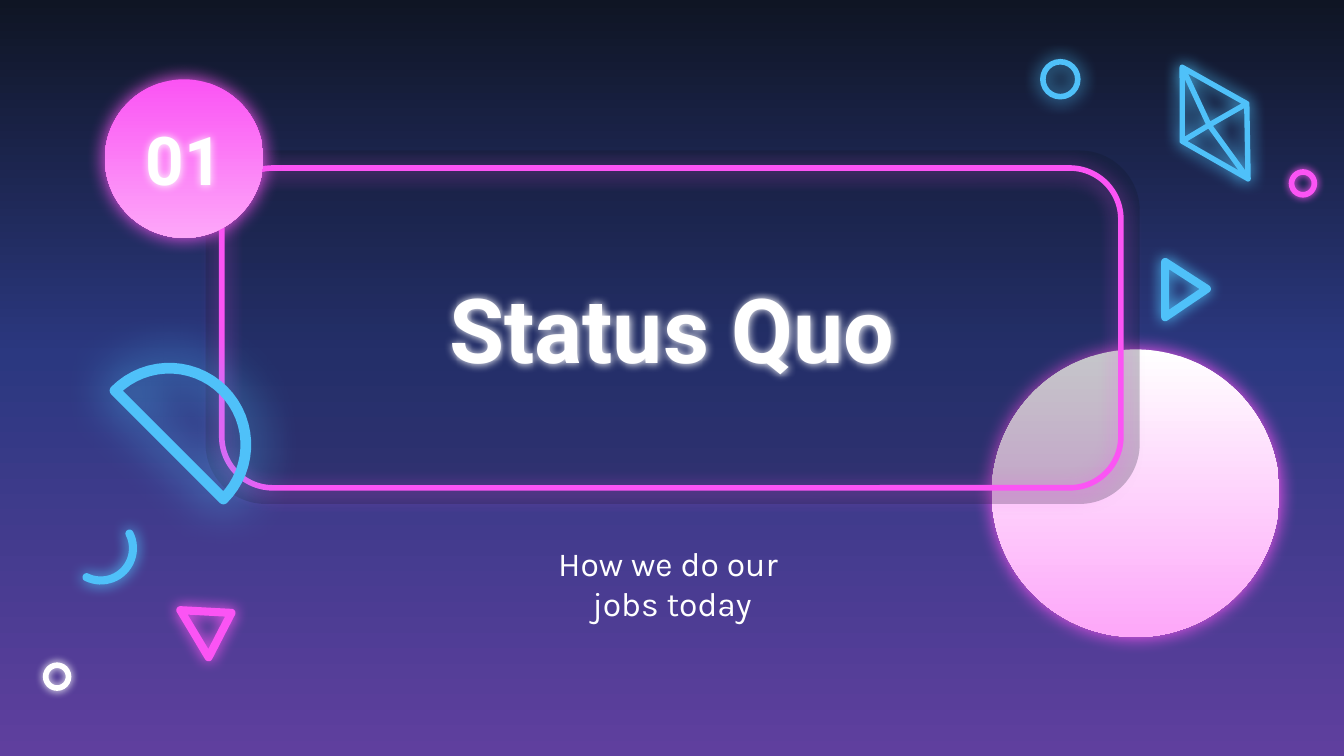
from copy import deepcopy
from dataclasses import dataclass
from math import atan2, ceil, cos, hypot, pi, radians, sin

from lxml.etree import SubElement
from pptx import Presentation
from pptx.dml.color import RGBColor
from pptx.enum.shapes import MSO_SHAPE
from pptx.enum.text import MSO_ANCHOR, PP_ALIGN
from pptx.oxml.ns import qn
from pptx.util import Inches, Pt

Point = tuple[float, float]
Box = tuple[float, float, float, float]


@dataclass(frozen=True)
class Theme:
    night: str = "0F1524"
    indigo: str = "2B3880"
    violet: str = "5F3F9E"
    pink: str = "FB54F4"
    blush: str = "FDA7F9"
    blue: str = "4FC1F9"
    white: str = "FFFFFF"
    heading_font: str = "Roboto"
    body_font: str = "Karla"
    title_size: int = 48
    number_size: int = 36
    body_size: int = 18
    stroke: int = 3


@dataclass(frozen=True)
class Glow:
    color: str
    blur: float
    alpha: int = 100
    dist: float = 0


@dataclass(frozen=True)
class Label:
    box: Box
    lines: tuple[str, ...]
    size: int
    font: str
    bold: bool = False
    anchor: MSO_ANCHOR = MSO_ANCHOR.TOP
    glow: Glow | None = None


@dataclass(frozen=True)
class Ring:
    box: Box
    color: str
    blur: float


@dataclass(frozen=True)
class Glyph:
    contours: list[list[Point]]
    color: str
    blur: float
    rotation: float = 0
    pivot: Point = (0, 0)


T = Theme()


def rgb(color: str) -> RGBColor:
    return RGBColor.from_string(color)


def set_gradient(fill, owner, *stops: tuple[float, str]) -> None:
    fill.gradient()
    fill.gradient_angle = 270
    gs_lst = owner.find(".//" + qn("a:gsLst"))
    for _ in stops[2:]:
        gs_lst.append(deepcopy(gs_lst[0]))
    for stop, (position, color) in zip(fill.gradient_stops, stops):
        stop.position = position
        stop.color.rgb = rgb(color)


def set_glow(sp, glow: Glow | None) -> None:
    sp.shadow.inherit = False
    if glow is None:
        return
    effects = sp._element.spPr.find(qn("a:effectLst"))
    shadow = SubElement(effects, qn("a:outerShdw"), blurRad=str(Pt(glow.blur)),
                        dist=str(Pt(glow.dist)), dir="5400000",
                        algn="bl", rotWithShape="0")
    clr = SubElement(shadow, qn("a:srgbClr"), val=glow.color)
    SubElement(clr, qn("a:alpha"), val=str(glow.alpha * 1000))


def add_preset(shapes, kind: MSO_SHAPE, box: Box, glow: Glow | None = None,
               line: str | None = None):
    sp = shapes.add_shape(kind, *map(Inches, box))
    sp.fill.background()
    if line:
        sp.line.color.rgb = rgb(line)
        sp.line.width = Pt(T.stroke)
    else:
        sp.line.fill.background()
    set_glow(sp, glow)
    return sp


def add_orb(shapes, box: Box, top: str) -> None:
    sp = add_preset(shapes, MSO_SHAPE.OVAL, box, Glow(T.pink, 10.1))
    set_gradient(sp.fill, sp._element, (0, top), (1, T.blush))


def add_frame(shapes) -> None:
    group = shapes.add_group_shape().shapes
    panel = add_preset(group, MSO_SHAPE.ROUNDED_RECTANGLE, (1.53, 1.12, 6.95, 2.63))
    panel.adjustments[0] = 0.17
    panel.fill.solid()
    panel.fill.fore_color.rgb = rgb(T.night)
    clr = panel._element.spPr.find(qn("a:solidFill"))[0]
    SubElement(clr, qn("a:alpha"), val="24000")
    border = add_preset(group, MSO_SHAPE.ROUNDED_RECTANGLE, (1.65, 1.25, 6.69, 2.38),
                        Glow(T.pink, 11.2, 62, 1.5), T.pink)
    border.adjustments[0] = 0.16


def add_label(shapes, label: Label) -> None:
    sp = shapes.add_textbox(*map(Inches, label.box))
    set_glow(sp, label.glow)
    tf = sp.text_frame
    tf.word_wrap = True
    tf.vertical_anchor = label.anchor
    tf.margin_left = tf.margin_right = tf.margin_top = tf.margin_bottom = Inches(0.1)
    for i, line in enumerate(label.lines):
        p = tf.add_paragraph() if i else tf.paragraphs[0]
        p.alignment = PP_ALIGN.CENTER
        r = p.add_run()
        r.text = line
        r.font.name = label.font
        r.font.size = Pt(label.size)
        r.font.bold = label.bold
        r.font.color.rgb = rgb(T.white)


def arc(center: Point, radius: float, start: float, end: float, step: float = 6) -> list[Point]:
    n = max(1, ceil(abs(end - start) / step))
    angles = [radians(start + (end - start) * i / n) for i in range(n + 1)]
    return [(center[0] + radius * cos(a), center[1] + radius * sin(a)) for a in angles]


def inward_normals(points: list[Point]) -> list[Point]:
    edges = [(b[0] - a[0], b[1] - a[1]) for a, b in zip(points, points[1:] + points[:1])]
    return [(-dy / hypot(dx, dy), dx / hypot(dx, dy)) for dx, dy in edges]


def inset(points: list[Point], half: float) -> list[Point]:
    normals = inward_normals(points)
    result = []
    for (x, y), (ax, ay), (bx, by) in zip(points, normals[-1:] + normals[:-1], normals):
        k = half / (1 + ax * bx + ay * by)
        result.append((x + k * (ax + bx), y + k * (ay + by)))
    return result[::-1]


def outset(points: list[Point], half: float) -> list[Point]:
    normals = inward_normals(points)
    result = []
    for point, a, b in zip(points, normals[-1:] + normals[:-1], normals):
        start = atan2(-a[1], -a[0])
        turn = (atan2(-b[1], -b[0]) - start) % (2 * pi)
        result += arc(point, half, start * 180 / pi, (start + turn) * 180 / pi, 15)
    return result


def hollow(points: list[Point], half: float) -> list[list[Point]]:
    return [outset(points, half), inset(points, half)]


def crossed(points: list[Point], middle: Point, half: float) -> list[list[Point]]:
    cells = [[a, b, middle] for a, b in zip(points, points[1:] + points[:1])]
    return [outset(points, half)] + [inset(cell, half) for cell in cells]


def round_band(center: Point, radius: float, start: float, end: float,
               half: float) -> list[list[Point]]:
    first, last = (arc(center, radius, a, a)[0] for a in (start, end))
    return [arc(center, radius + half, start, end) + arc(last, half, end, end + 180, 15)
            + arc(center, radius - half, end, start) + arc(first, half, start + 180, start + 360, 15)]


def turned(point: Point, pivot: Point, degrees: float) -> Point:
    c, s = cos(radians(degrees)), sin(radians(degrees))
    dx, dy = point[0] - pivot[0], point[1] - pivot[1]
    return pivot[0] + c * dx - s * dy, pivot[1] + s * dx + c * dy


def add_glyph(shapes, glyph: Glyph) -> None:
    contours = [[tuple(map(Inches, turned(p, glyph.pivot, -glyph.rotation))) for p in contour]
                for contour in glyph.contours]
    builder = shapes.build_freeform(*contours[0][0])
    for i, contour in enumerate(contours):
        if i:
            builder.move_to(*contour[0])
        builder.add_line_segments(contour[1:], close=True)
    sp = builder.convert_to_shape()
    sp.rotation = glyph.rotation
    sp.fill.solid()
    sp.fill.fore_color.rgb = rgb(glyph.color)
    sp.line.fill.background()
    set_glow(sp, Glow(glyph.color, glyph.blur))


TITLE = Label((1.98, 1.52, 6.04, 1.83), ("Status Quo",), T.title_size, T.heading_font,
              True, MSO_ANCHOR.MIDDLE, Glow(T.white, 5))
SUBTITLE = Label((3.31, 3.94, 3.38, 0.8), ("How we do our ", "jobs today"),
                 T.body_size, T.body_font)
NUMBER = Label((0.77, 0.83, 1.2, 0.7), ("01",), T.number_size, T.heading_font,
               True, MSO_ANCHOR.MIDDLE, Glow(T.white, 5))
GLYPHS = (
    Glyph(hollow(arc((1.26, 3.31), 0.57, 225, 405), 0.04), T.blue, 27),
    Glyph(crossed([(8.8, 0.5), (9.28, 0.77), (9.29, 1.33), (8.8, 1.05)], (9, 0.93), 0.02),
          T.blue, 9, 328.9, (9.04, 0.91)),
    Glyph(hollow([(8.67, 1.95), (8.98, 2.15), (8.67, 2.36)], 0.03), T.blue, 7.9),
    Glyph(round_band((0.75, 4.08), 0.24, -27, 116, 0.03), T.blue, 7.9),
    Glyph(hollow([(1.34, 4.54), (1.72, 4.56), (1.55, 4.89)], 0.03),
          T.pink, 7.9, 329.4, (1.58, 4.64)),
)
RINGS = (
    Ring((7.76, 0.46, 0.26, 0.26), T.blue, 10.1),
    Ring((0.34, 4.95, 0.17, 0.17), T.white, 4.5),
    Ring((9.61, 1.28, 0.17, 0.17), T.pink, 4.5),
)


def main() -> None:
    prs = Presentation()
    prs.slide_width, prs.slide_height = Inches(10), Inches(10 * 9 / 16)
    s = prs.slides.add_slide(prs.slide_layouts[6])
    set_gradient(s.background.fill, s._element,
                 (0, T.night), (0.47, T.indigo), (1, T.violet))
    add_orb(s.shapes, (7.38, 2.6, 2.14, 2.14), T.white)
    add_frame(s.shapes)
    add_label(s.shapes, TITLE)
    add_label(s.shapes, SUBTITLE)
    add_orb(s.shapes, (0.78, 0.59, 1.18, 1.18), T.pink)
    add_label(s.shapes, NUMBER)
    for glyph in GLYPHS:
        add_glyph(s.shapes, glyph)
    for ring in RINGS:
        add_preset(s.shapes, MSO_SHAPE.OVAL, ring.box, Glow(ring.color, ring.blur), ring.color)
    prs.save("out.pptx")


if __name__ == "__main__":
    main()
